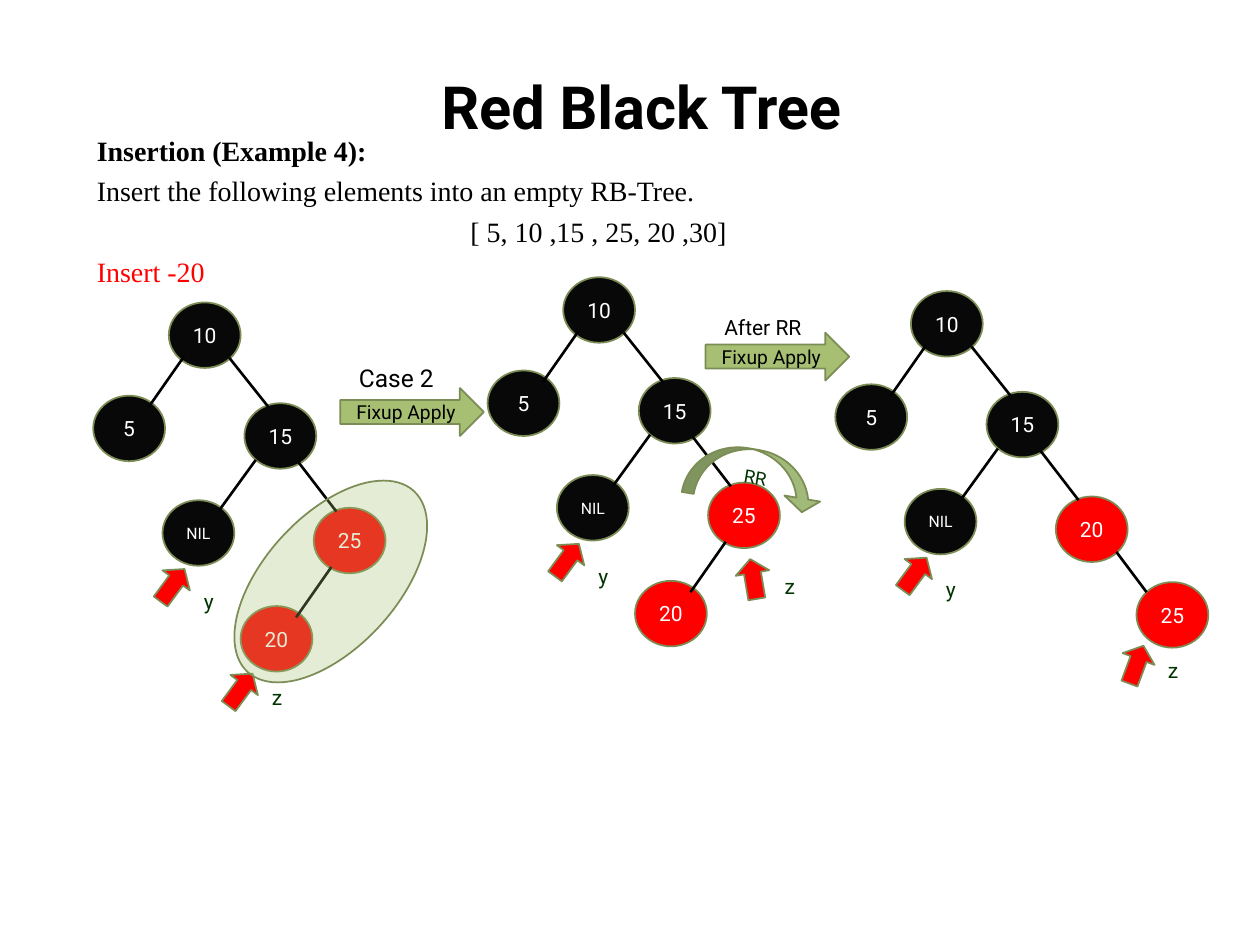
from lxml import etree
from pptx import Presentation
from pptx.dml.color import RGBColor
from pptx.enum import shapes, text
from pptx.oxml.ns import qn
from pptx.util import Inches, Pt

BLACK = RGBColor(0x00, 0x00, 0x00)
NODE = RGBColor(0x08, 0x08, 0x08)
WHITE = RGBColor(0xFF, 0xFF, 0xFF)
RED = RGBColor(0xFF, 0x00, 0x00)
GREEN = RGBColor(0xA6, 0xBF, 0x73)
CURVE = RGBColor(0xA1, 0xB9, 0x79)
OUTLINE = RGBColor(0x7B, 0x8D, 0x55)
DARK_GREEN = RGBColor(0x00, 0x33, 0x00)

SHAPE = shapes.MSO_SHAPE
LEFT, CENTER, JUSTIFY = (text.PP_ALIGN.LEFT, text.PP_ALIGN.CENTER,
                         text.PP_ALIGN.JUSTIFY)
NODE_W, NODE_H = 0.57, 0.52


def write(p, words, size=12, font="Roboto", color=BLACK, bold=False, align=LEFT):
    """Put one formatted run in a paragraph."""
    p.alignment = align
    r = p.add_run()
    r.text = words
    r.font.size = Pt(size)
    r.font.name = font
    r.font.bold = bold
    r.font.color.rgb = color


def add_text(s, box, words, anchor=text.MSO_ANCHOR.TOP, **fmt):
    tf = s.shapes.add_textbox(*map(Inches, box)).text_frame
    tf.word_wrap = True
    tf.vertical_anchor = anchor
    write(tf.paragraphs[0], words, **fmt)


def add_shape(s, kind, box, fill, words=None, rotation=0, adjust=(), alpha=None,
              **fmt):
    """Outlined preset shape with optional centred text."""
    sp = s.shapes.add_shape(kind, *map(Inches, box))
    sp.shadow.inherit = False
    sp.rotation = rotation
    sp.fill.solid()
    sp.fill.fore_color.rgb = fill
    sp.line.color.rgb = OUTLINE
    sp.line.width = Pt(1)
    for i, value in enumerate(adjust):
        sp.adjustments[i] = value
    if alpha is not None:
        clr = sp._element.spPr.find(qn("a:solidFill"))[0]
        etree.SubElement(clr, qn("a:alpha")).set("val", str(alpha * 1000))
    if words:
        tf = sp.text_frame
        tf.margin_left = tf.margin_right = tf.margin_top = tf.margin_bottom = 0
        tf.word_wrap = False
        tf.vertical_anchor = text.MSO_ANCHOR.MIDDLE
        write(tf.paragraphs[0], words, align=CENTER, **fmt)


def add_edge(s, x1, y1, x2, y2):
    c = s.shapes.add_connector(shapes.MSO_CONNECTOR.STRAIGHT,
                               *map(Inches, (x1, y1, x2, y2)))
    c.line.color.rgb = BLACK
    c.line.width = Pt(1.5)
    etree.SubElement(c._element.spPr, qn("a:effectLst"))


def add_pointer(s, name, label_at, arrow_at, rotation):
    """Red arrow with the name of the pointer."""
    add_text(s, (*label_at, 0.27, 0.3), name, color=DARK_GREEN)
    add_shape(s, SHAPE.RIGHT_ARROW, (*arrow_at, 0.32, 0.27), RED,
              rotation=rotation, adjust=(0.5, 0.415))


# Nodes: label, offset from the root, fill, edge from the parent
COMMON = [
    ("10", (0, 0), NODE, None),
    ("15", (0.6, 0.8), NODE, (0.48, 0.44, 0.79, 0.83)),
    ("5", (-0.6, 0.74), NODE, (0.12, 0.43, -0.16, 0.83)),
    ("NIL", (-0.05, 1.57), NODE, (0.69, 1.25, 0.4, 1.65)),
]
RIGHT_CHILD = ((1.15, 1.63), RED, (1.03, 1.27, 1.33, 1.66))
LEFT_LEAF = ((0.57, 2.41), RED, (1.29, 2.1, 1.01, 2.5))
RIGHT_LEAF = ((1.79, 2.31), RED, (1.63, 2.07, 1.87, 2.39))


def add_tree(s, x, y, child, leaf, z):
    """Tree whose root node has its top left corner at x, y."""
    for label, (dx, dy), fill, edge in COMMON + [child, leaf]:
        add_shape(s, SHAPE.OVAL, (x + dx, y + dy, NODE_W, NODE_H), fill, label,
                  size=9 if label == "NIL" else 12, color=WHITE)
        if edge:
            x1, y1, x2, y2 = edge
            add_edge(s, x + x1, y + y1, x + x2, y + y2)
    add_pointer(s, "y", (x + 0.18, y + 2.22), (x - 0.13, y + 2.11), 306.3)
    add_pointer(s, "z", *z)


def add_step(s, x, y, caption, caption_box, size):
    """Green arrow between two trees, with its caption."""
    add_shape(s, SHAPE.RIGHT_ARROW, (x, y, 1.14, 0.38), GREEN, "Fixup Apply",
              size=11)
    add_text(s, caption_box, caption, size=size)


def add_intro(s, x, y, w, h):
    tf = s.shapes.add_textbox(*map(Inches, (x, y, w, h))).text_frame
    tf.word_wrap = True
    lines = [
        ("Insertion (Example 4):", dict(bold=True, align=JUSTIFY)),
        ("Insert the following elements into an empty RB-Tree.",
         dict(align=JUSTIFY)),
        ("[ 5, 10 ,15 , 25, 20 ,30]", dict(align=CENTER)),
        ("Insert -20", dict(color=RED)),
    ]
    for i, (words, fmt) in enumerate(lines):
        p = tf.add_paragraph() if i else tf.paragraphs[0]
        if i:
            p.space_before = Pt(3.9)
        write(p, words, size=16, font="Times New Roman", **fmt)


def main():
    prs = Presentation()
    prs.slide_width, prs.slide_height = Inches(10), Inches(7.5)
    s = prs.slides.add_slide(prs.slide_layouts[6])

    # Heading and task
    add_text(s, (0.59, 0.44, 9, 0.79), "Red Black Tree", size=34, bold=True,
             align=CENTER, anchor=text.MSO_ANCHOR.MIDDLE)
    add_intro(s, 0.67, 1.01, 8.16, 1.34)

    # Tree after insertion, with the conflicting pair marked
    add_step(s, 2.7, 3.08, "Case 2", (2.75, 2.83, 0.86, 0.34), 14)
    add_tree(s, 1.34, 2.4, ("25", *RIGHT_CHILD), ("20", *LEFT_LEAF),
             ((2.06, 5.38), (1.75, 5.34), 306.3))
    add_shape(s, SHAPE.OVAL, (2.1, 3.64, 1.05, 1.95), GREEN, rotation=42.6,
              alpha=29)

    # Tree with the right rotation marked
    add_tree(s, 4.47, 2.2, ("25", *RIGHT_CHILD), ("20", *LEFT_LEAF),
             ((6.13, 4.5), (5.82, 4.46), 260.5))
    add_shape(s, SHAPE.CURVED_DOWN_ARROW, (5.44, 3.57, 1.11, 0.43), CURVE, "RR",
              rotation=9.6, adjust=(0.221, 0.669, 0.25), size=10.5,
              color=DARK_GREEN)

    # Tree after the rotation
    add_step(s, 5.6, 2.64, "After RR", (5.65, 2.45, 1.09, 0.3), 12)
    add_tree(s, 7.23, 2.31, ("20", *RIGHT_CHILD), ("25", *RIGHT_LEAF),
             ((9.17, 5.17), (8.86, 5.14), 290.3))

    prs.save("out.pptx")


if __name__ == "__main__":
    main()
